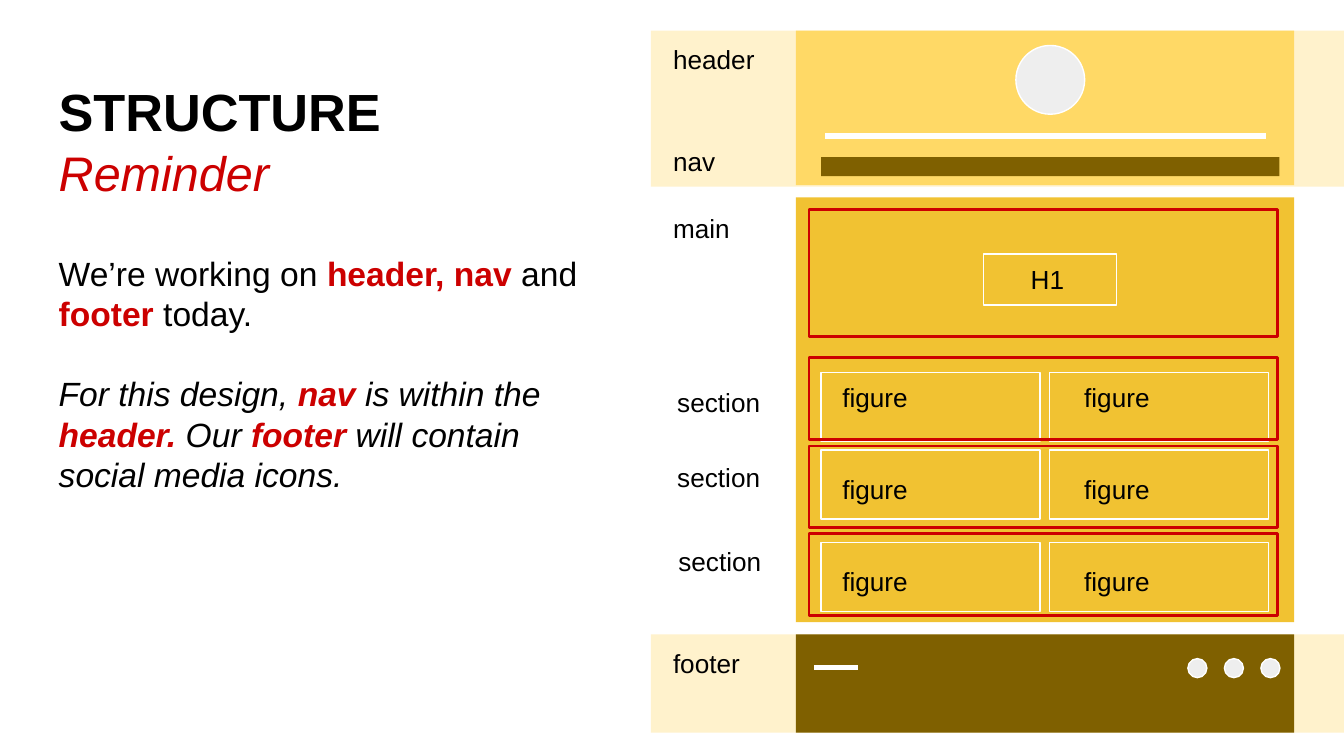
"""Build the page structure reminder slide."""
from dataclasses import dataclass
from typing import Optional

from lxml.etree import SubElement
from pptx import Presentation
from pptx.dml.color import RGBColor
from pptx.enum.shapes import MSO_CONNECTOR, MSO_SHAPE
from pptx.enum.text import MSO_ANCHOR, MSO_AUTO_SIZE, PP_ALIGN
from pptx.oxml.ns import qn
from pptx.util import Cm, Pt

RED, WHITE, BLACK = "CC0000", "FFFFFF", "000000"
CREAM, SAND, GOLD, BROWN, GREY = "FFF2CC", "FFD966", "F1C232", "7F6000", "EEEEEE"
PAD = Cm(0.25)
FRAME = dict(margin_left=PAD, margin_top=PAD, margin_right=PAD, margin_bottom=PAD,
             word_wrap=True, auto_size=MSO_AUTO_SIZE.NONE,
             vertical_anchor=MSO_ANCHOR.TOP)


@dataclass
class Box:
    """A filled or outlined shape, in centimetres."""
    left: float
    top: float
    width: float
    height: float
    fill: Optional[str] = None
    line: Optional[str] = None
    weight: float = 0.75
    kind: MSO_SHAPE = MSO_SHAPE.RECTANGLE


@dataclass
class Label:
    """A short caption, in centimetres."""
    text: str
    left: float
    top: float
    width: float = 2.13


@dataclass
class Para:
    """A title paragraph whose runs are (text, strong) pairs."""
    runs: list
    size: float
    pitch: float
    before: float = 0
    slant: bool = False


def apply(item, values: dict) -> None:
    """Set each named value on the item."""
    for name, value in values.items():
        setattr(item, name, value)


def paint(part, shade: str) -> None:
    """Give a font, fill or line a hex colour."""
    color = part.color if hasattr(part, "color") else part.fore_color
    color.rgb = RGBColor.from_string(shade)


def style(font, size: float, shade: str, bold=False, italic=False) -> None:
    """Format a font."""
    apply(font, dict(name="Arial", size=Pt(size), bold=bold, italic=italic))
    paint(font, shade)


def draw_box(slide, box: Box) -> None:
    """Draw one shape."""
    shape = slide.shapes.add_shape(
        box.kind, *map(Cm, (box.left, box.top, box.width, box.height)))
    shape.shadow.inherit = False
    if box.fill:
        shape.fill.solid()
        paint(shape.fill, box.fill)
    else:
        shape.fill.background()
    if box.line:
        paint(shape.line, box.line)
        shape.line.width = Pt(box.weight)
    else:
        shape.line.fill.background()


def draw_label(slide, label: Label) -> None:
    """Draw one caption."""
    frame = slide.shapes.add_textbox(
        *map(Cm, (label.left, label.top, label.width, 0.81))).text_frame
    apply(frame, FRAME)
    run = frame.paragraphs[0].add_run()
    run.text = label.text
    style(run.font, 14, BLACK)


def draw_rule(slide, left: float, right: float, top: float) -> None:
    """Draw a thick white level line."""
    rule = slide.shapes.add_connector(
        MSO_CONNECTOR.STRAIGHT, *map(Cm, (left, top, right, top)))
    paint(rule.line, WHITE)
    rule.line.width = Pt(3)
    SubElement(rule._element.spPr, qn("a:effectLst"))


def write_title(slide, paras: list) -> None:
    """Place the title and fill in its paragraphs."""
    title = slide.shapes.title
    apply(title, dict(left=Cm(0.86), top=Cm(1.24), width=Cm(10.69), height=Cm(11.99)))
    frame = title.text_frame
    apply(frame, FRAME)
    for index, para in enumerate(paras):
        line = frame.add_paragraph() if index else frame.paragraphs[0]
        apply(line, dict(alignment=PP_ALIGN.LEFT, line_spacing=Pt(para.pitch),
                         space_before=Pt(para.before), space_after=Pt(0)))
        for text, strong in para.runs:
            run = line.add_run()
            run.text = text
            heavy = strong and para.size == 18 or para.size == 28
            style(run.font, para.size, RED if strong else BLACK, heavy, para.slant)


TITLE = [
    Para([("STRUCTURE", False)], 28, 34),
    Para([("Reminder", True)], 26, 31.5, slant=True),
    Para([("We’re working on ", False), ("header, nav ", True), ("and", False),
          (" footer", True), (" today.", False)], 18, 21.5, 28),
    Para([("For this design, ", False), ("nav ", True), ("is within the ", False),
          ("header.", True), (" Our ", False), ("footer ", True),
          ("will contain social media icons.", False)], 18, 21.5, 21.5, True),
]
OVAL = MSO_SHAPE.OVAL
COLS = [(15.52, 15.67), (19.84, 20.24)]
ROWS = [(7.04, 6.96), (8.51, 8.69), (10.26, 10.44)]

BOXES = [
    Box(12.3, 0.58, 13.1, 2.95, CREAM),
    Box(12.3, 11.99, 13.1, 1.86, CREAM),
    Box(15.04, 0.58, 9.42, 2.92, SAND),
    Box(15.52, 2.97, 8.66, 0.36, BROWN),
    Box(15.04, 3.73, 9.42, 8.03, GOLD),
    Box(15.04, 11.99, 9.42, 1.86, BROWN),
    *[Box(left, top, 4.14, 1.3, line=WHITE) for top, _ in ROWS for left, _ in COLS],
    Box(15.29, 3.96, 8.86, 2.41, line=RED, weight=1.5),
    *[Box(15.29, top, 8.86, 1.55, line=RED, weight=1.5) for top in (6.76, 8.43, 10.08)],
    Box(18.59, 4.8, 2.51, 0.97, line=WHITE),
    Box(19.2, 0.86, 1.3, 1.3, GREY, WHITE, kind=OVAL),
    *[Box(22.45 + 0.69 * step, 12.45, 0.36, 0.36, GREY, WHITE, kind=OVAL)
      for step in range(3)],
]
LABELS = [
    Label("header", 12.47, 0.58),
    Label("nav", 12.47, 2.49),
    Label("main", 12.47, 3.76),
    *[Label("section", left, top)
      for left, top in ((12.55, 7.06), (12.55, 8.48), (12.57, 10.06))],
    Label("footer", 12.47, 11.99),
    Label("H1", 19.23, 4.72, 1.22),
    *[Label("figure", left, top, 3.5) for _, top in ROWS for _, left in COLS],
]
RULES = [(15.6, 23.93, 2.57), (15.39, 16.21, 12.62)]


def main() -> None:
    """Build and save the deck."""
    deck = Presentation()
    apply(deck, dict(slide_width=Cm(25.4), slide_height=Cm(14.29)))
    slide = deck.slides.add_slide(deck.slide_layouts[5])
    write_title(slide, TITLE)
    for box in BOXES:
        draw_box(slide, box)
    for label in LABELS:
        draw_label(slide, label)
    for rule in RULES:
        draw_rule(slide, *rule)
    deck.save("out.pptx")


if __name__ == "__main__":
    main()
